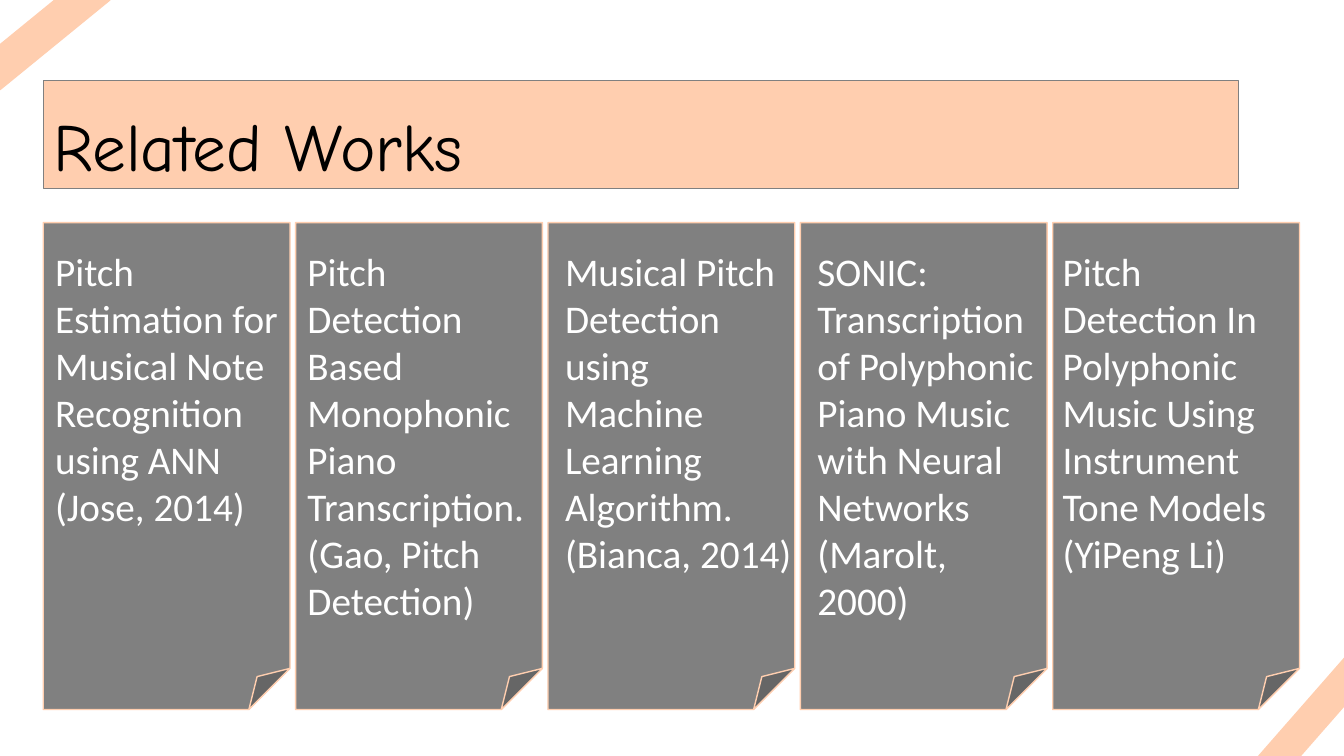
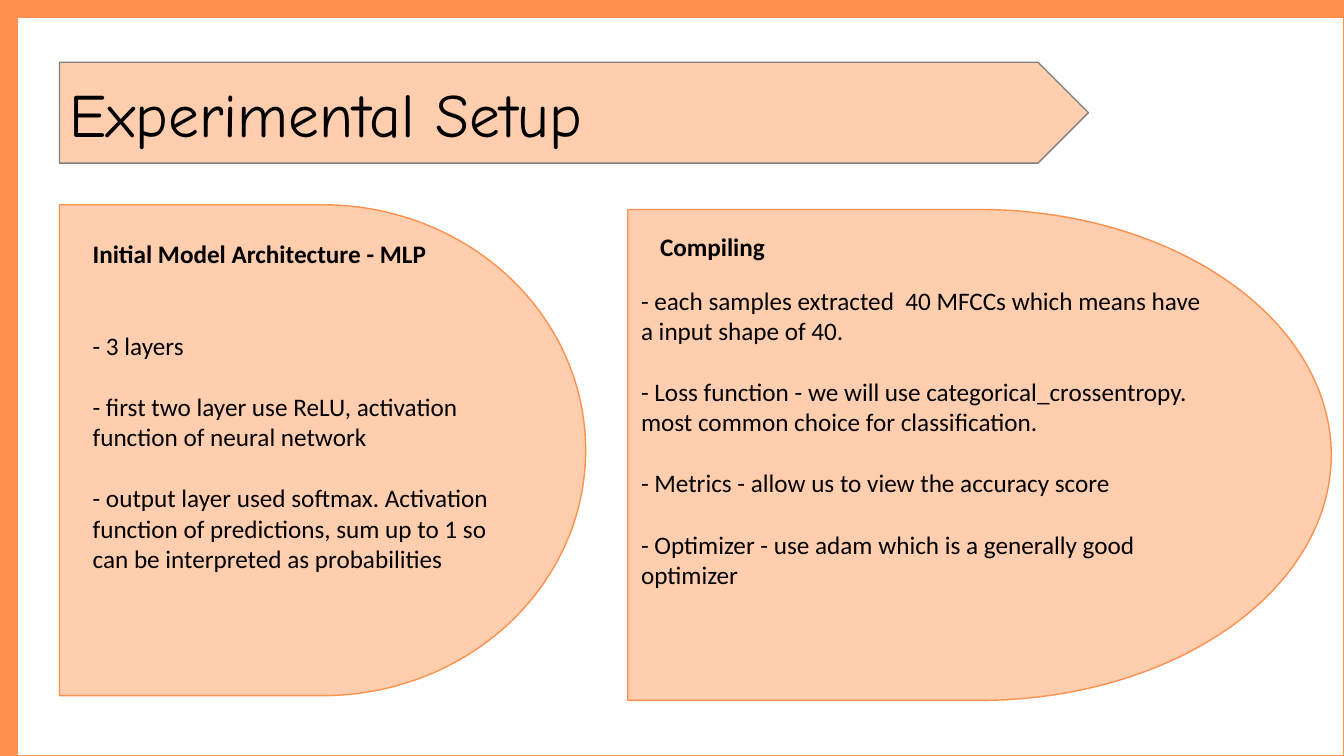
from pptx import Presentation
from pptx import util as u
from pptx.dml.color import RGBColor
from pptx.enum import shapes, text
from pptx.oxml import xmlchemy

PEACH, ORANGE, GRAY = "FFCEAF", "FF914D", "808080"
BLACK, WHITE = "000000", "FFFFFF"
TITLE_FONT, BODY_FONT = "Comic Neue", "Calibri"
TITLE_ONLY, COMPARISON = 5, 4
WIDTH, HEIGHT = 33.87, 19.05
PRESET = shapes.MSO_SHAPE


def color(value):
    """Return the colour for a hex string."""
    return RGBColor.from_string(value)


class Deck:
    """Hold the shared style and the current slide."""

    def __init__(self):
        """Start a widescreen presentation."""
        self.presentation = Presentation()
        self.presentation.slide_width = u.Cm(WIDTH)
        self.presentation.slide_height = u.Cm(HEIGHT)
        self.slide = None

    def add_slide(self, layout):
        """Add a slide and make it current."""
        layouts = self.presentation.slide_layouts
        self.slide = self.presentation.slides.add_slide(layouts[layout])

    def shape(self, preset, box, fill, line=None):
        """Draw a flat preset shape; box is left, top, width, height in cm."""
        shape = self.slide.shapes.add_shape(preset, *map(u.Cm, box))
        shape.shadow.inherit = False
        shape.fill.solid()
        shape.fill.fore_color.rgb = color(fill)
        if line:
            shape.line.color.rgb = color(line)
            shape.line.width = u.Pt(1)
        else:
            shape.line.fill.background()
        return shape

    def set_text(self, shape, paragraphs, size, font=BODY_FONT, ink=BLACK, bold=False, gap=0):
        """Fill a shape with plain left-aligned paragraphs."""
        frame = shape.text_frame
        frame.text = "\n".join(paragraphs)
        frame.word_wrap = True
        frame.auto_size = text.MSO_AUTO_SIZE.NONE
        frame.vertical_anchor = text.MSO_ANCHOR.TOP
        for paragraph in frame.paragraphs:
            paragraph.alignment = text.PP_ALIGN.LEFT
            paragraph.line_spacing = 1.0
            paragraph.space_before = u.Pt(0)
            paragraph.space_after = u.Pt(gap)
            properties = paragraph._p.get_or_add_pPr()
            properties.set("marL", "0")
            properties.set("indent", "0")
            properties.append(xmlchemy.OxmlElement("a:buNone"))
            for run in paragraph.runs:
                run.font.name = font
                run.font.size = u.Pt(size)
                run.font.bold = bold
                run.font.color.rgb = color(ink)

    def placeholder(self, index, box, paragraphs, size, **style):
        """Place a template placeholder above the shapes drawn so far."""
        holder = next(item for item in self.slide.placeholders
                      if item.placeholder_format.idx == index)
        holder.left, holder.top, holder.width, holder.height = map(u.Cm, box)
        self.set_text(holder, paragraphs, size, **style)
        self.slide.shapes.element.append(holder.element)

    def title(self, band, band_box, title_box, words, size):
        """Draw the title band with the slide title on it."""
        self.shape(band, band_box, PEACH, GRAY)
        self.placeholder(0, title_box, [words], size, font=TITLE_FONT)

    def card(self, box, words, left, right):
        """Draw a gray folded card with its text."""
        card = self.shape(PRESET.FOLDED_CORNER, box, GRAY, PEACH)
        self.set_text(card, [words], 28, ink=WHITE)
        frame = card.text_frame
        frame.margin_left, frame.margin_right = u.Cm(left), u.Cm(right)
        frame.margin_top = u.Cm(0.61)

    def panel(self, box, first, heading_box, heading, list_box, items):
        """Draw a rounded panel with a heading and a list."""
        self.shape(PRESET.FLOWCHART_DELAY, box, PEACH, ORANGE)
        self.placeholder(first, heading_box, [heading], 18, bold=True)
        self.placeholder(first + 1, list_box, items, 18, gap=22)


def related_works(deck):
    """Build the slide with five cited works."""
    deck.add_slide(TITLE_ONLY)
    corner = deck.shape(PRESET.DIAGONAL_STRIPE, (31.7, 16.56, 2.18, 2.49), PEACH)
    corner.rotation = 180
    deck.title(PRESET.RECTANGLE, (1.09, 2.03, 30.12, 2.72),
               (1.09, 2.49, 17.91, 2.31), "Related Works", 48)
    narrow, wide = (0.3, 0.2), (0.43, 0.08)
    works = [
        ("Pitch Estimation for Musical Note Recognition using ANN (Jose, 2014)", narrow),
        ("Pitch Detection Based Monophonic Piano Transcription. (Gao, Pitch Detection)", narrow),
        ("Musical Pitch Detection using Machine Learning Algorithm. (Bianca, 2014)", wide),
        ("SONIC: Transcription of Polyphonic Piano Music with Neural Networks (Marolt, 2000)",
         (0.43, 0.25)),
        ("Pitch Detection In Polyphonic Music Using Instrument Tone Models (YiPeng Li)",
         (0.25, 0.25)),
    ]
    for column, (words, margins) in enumerate(works):
        deck.card((1.09 + 6.36 * column, 5.61, 6.22, 12.27), words, *margins)
    deck.shape(PRESET.DIAGONAL_STRIPE, (0, 0, 2.77, 2.26), PEACH, PEACH)


def experimental_setup(deck):
    """Build the slide on the model and its compilation."""
    deck.add_slide(COMPARISON)
    deck.shape(PRESET.RECTANGLE, (0, 0, WIDTH, HEIGHT), ORANGE, ORANGE)
    deck.shape(PRESET.RECTANGLE, (0.43, 0.43, WIDTH - 0.43, HEIGHT - 0.43), WHITE, ORANGE)
    deck.title(PRESET.PENTAGON, (1.5, 1.57, 25.93, 2.54),
               (1.5, 1.78, 26.8, 2.13), "Experimental Setup", 44)
    deck.panel(
        (1.5, 5.16, 13.26, 12.37), 1,
        (2.08, 5.87, 9.86, 1.02), "Initial Model Architecture - MLP",
        (2.08, 8.2, 10.59, 6.4), [
            "- 3 layers",
            "- first two layer use ReLU, activation function of neural network",
            "- output layer used softmax. Activation function of predictions, "
            "sum up to 1 so can be interpreted as probabilities",
        ])
    deck.panel(
        (15.82, 5.28, 17.73, 12.37), 3,
        (16.38, 5.69, 6.99, 1.02), "Compiling",
        (15.9, 7.06, 14.94, 7.95), [
            "- each samples extracted  40 MFCCs which means have a input shape of 40.",
            "- Loss function - we will use categorical_crossentropy. "
            "most common choice for classification.",
            "- Metrics - allow us to view the accuracy score",
            "- Optimizer - use adam which is a generally good optimizer",
        ])


def main():
    """Build and save the presentation."""
    deck = Deck()
    related_works(deck)
    experimental_setup(deck)
    deck.presentation.save("out.pptx")


if __name__ == "__main__":
    main()
